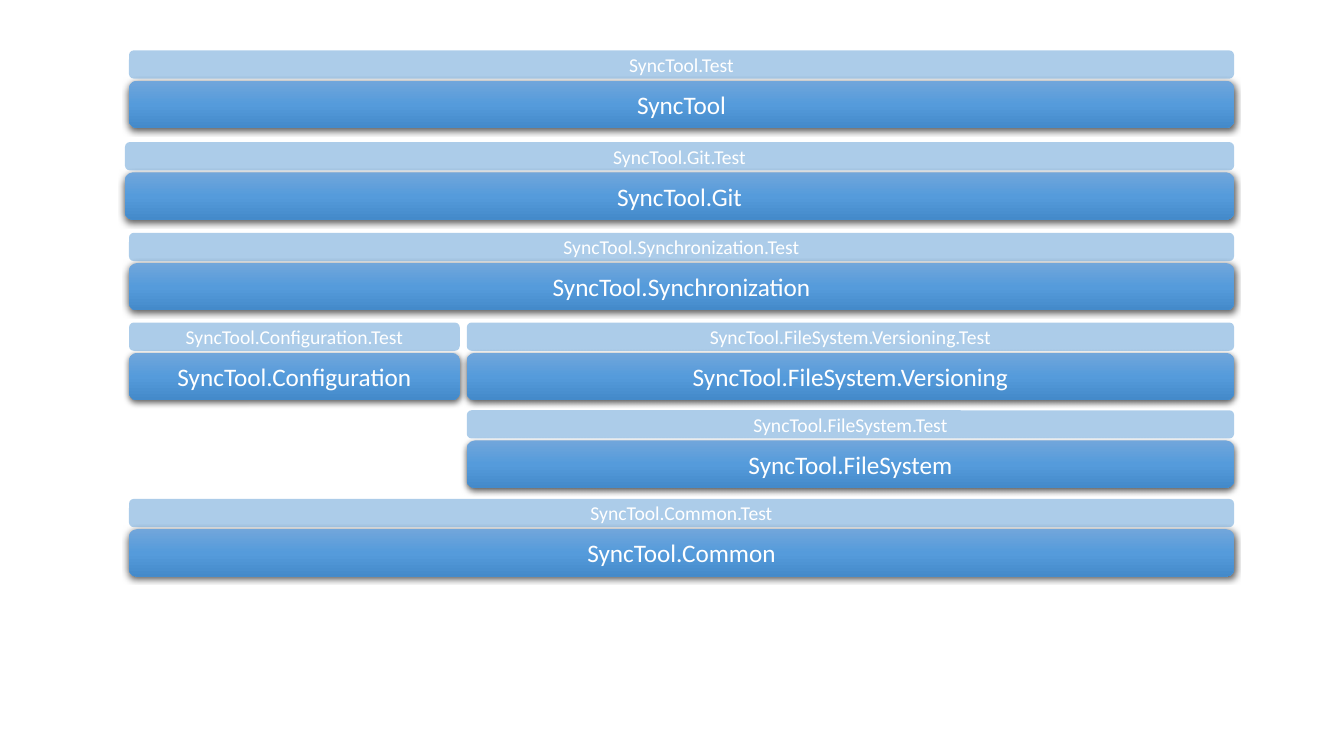
from lxml.etree import SubElement
from pptx import Presentation
from pptx.dml.color import RGBColor
from pptx.enum.shapes import MSO_SHAPE as Shape
from pptx.enum.text import MSO_ANCHOR as Anchor, PP_ALIGN as Align
from pptx.oxml.ns import qn
from pptx.util import Inches, Pt

COLORS = {
    "test": "5B9BD5",
    "top": "71A6DB",
    "middle": "559BDB",
    "bottom": "448ACA",
    "shadow": "000000",
    "text": "FFFFFF",
}
FONT = "Calibri"
TEST_HEIGHT, MODULE_HEIGHT, GAP = 0.28, 0.47, 0.02

# Horizontal extent of each column: left, width
FULL = (1.28, 10.96)
GIT = (1.24, 11)
CONFIGURATION = (1.28, 3.28)
FILE_SYSTEM = (4.63, 7.61)

# Module name, column, top
MODULES = [
    ("SyncTool", FULL, 0.5),
    ("SyncTool.Git", GIT, 1.41),
    ("SyncTool.Synchronization", FULL, 2.31),
    ("SyncTool.Configuration", CONFIGURATION, 3.2),
    ("SyncTool.FileSystem.Versioning", FILE_SYSTEM, 3.2),
    ("SyncTool.FileSystem", FILE_SYSTEM, 4.07),
    ("SyncTool.Common", FULL, 4.95),
]


def add_color(parent, color, alpha=None):
    node = SubElement(parent, qn("a:srgbClr"), val=COLORS[color])
    if alpha is not None:
        SubElement(node, qn("a:alpha"), val=str(alpha * 1000))


def add_bar(group, box, label, size):
    """Rounded bar with a centred label and no outline."""
    bar = group.shapes.add_shape(Shape.ROUNDED_RECTANGLE, *map(Inches, box))
    bar.shadow.inherit = False
    bar.line.fill.background()
    frame = bar.text_frame
    frame.word_wrap = True
    frame.vertical_anchor = Anchor.MIDDLE
    paragraph = frame.paragraphs[0]
    paragraph.alignment = Align.CENTER
    run = paragraph.add_run()
    run.text = label
    run.font.name = FONT
    run.font.size = Pt(size)
    run.font.color.rgb = RGBColor.from_string(COLORS["text"])
    return bar


def style_test(bar):
    """Half-transparent flat fill."""
    bar.fill.solid()
    bar.fill.fore_color.rgb = RGBColor.from_string(COLORS["test"])
    color = bar._element.spPr.find(qn("a:solidFill"))[0]
    SubElement(color, qn("a:alpha"), val="50000")


def style_module(bar):
    """Three-stop vertical gradient with a soft shadow below."""
    bar.fill.gradient()
    bar.fill.gradient_angle = 270
    properties = bar._element.spPr
    stops = properties.find(qn("a:gradFill")).find(qn("a:gsLst"))
    for stop in list(stops):
        stops.remove(stop)
    for position, color in ((0, "top"), (50, "middle"), (100, "bottom")):
        add_color(SubElement(stops, qn("a:gs"), pos=str(position * 1000)), color)
    shadow = SubElement(
        properties.find(qn("a:effectLst")), qn("a:outerShdw"),
        blurRad=str(Pt(4.5)), dist=str(Pt(1.5)), dir=str(90 * 60000),
        algn="ctr", rotWithShape="0")
    add_color(shadow, "shadow", 63)


def add_module(slide, name, left, top, width):
    """Test project bar stacked on its module bar."""
    group = slide.shapes.add_group_shape()
    module_top = top + TEST_HEIGHT + GAP
    style_module(add_bar(group, (left, module_top, width, MODULE_HEIGHT), name, 18))
    style_test(add_bar(group, (left, top, width, TEST_HEIGHT), f"{name}.Test", 14))


def build_architecture(slide):
    for name, (left, width), top in MODULES:
        add_module(slide, name, left, top, width)


presentation = Presentation()
presentation.slide_width = Inches(13.33)
presentation.slide_height = Inches(7.5)
build_architecture(presentation.slides.add_slide(presentation.slide_layouts[6]))
presentation.save("out.pptx")
